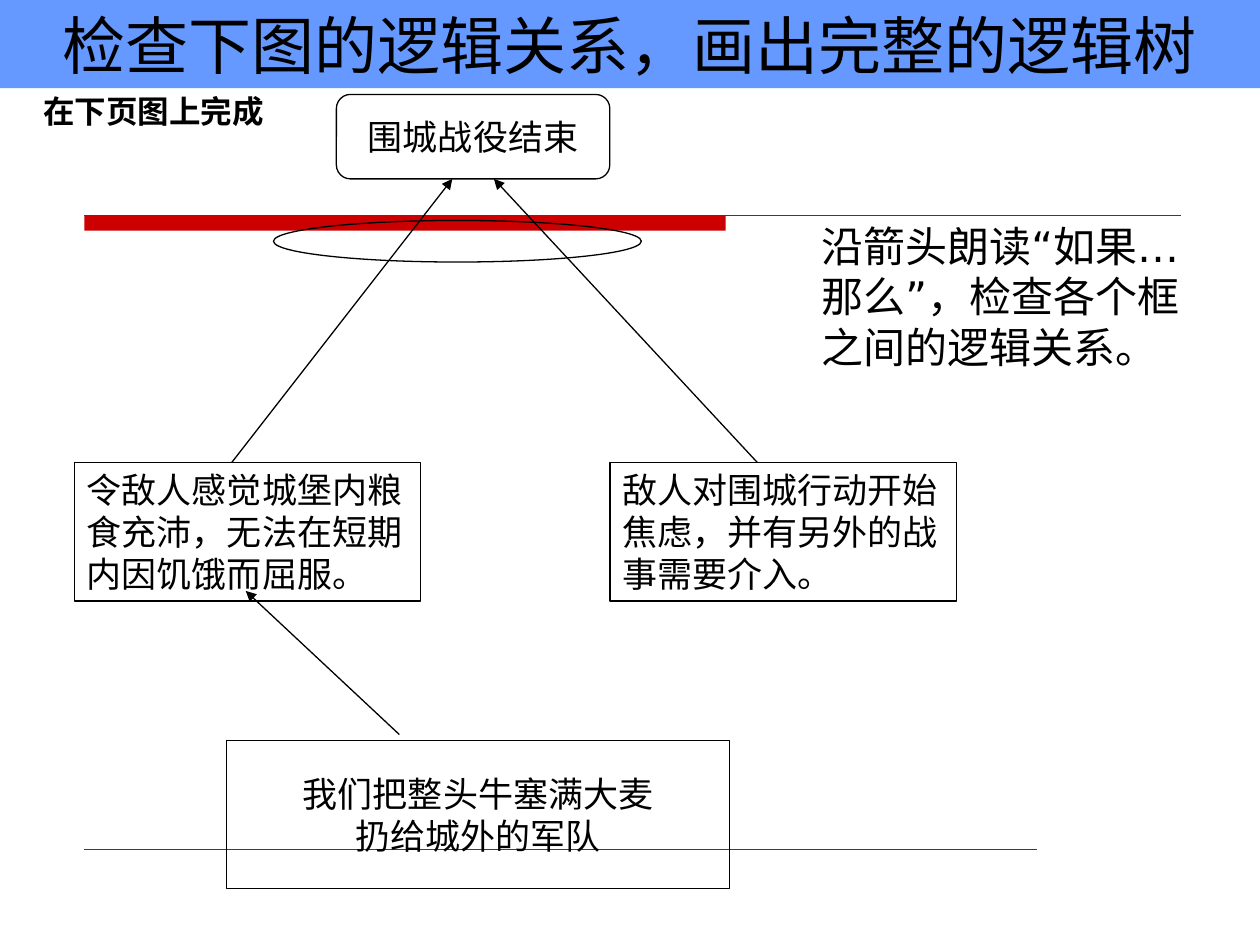
from dataclasses import dataclass
from typing import Optional

from lxml import etree
from pptx import Presentation
from pptx import util as u
from pptx.dml.color import RGBColor
from pptx.enum import shapes, text
from pptx.oxml import ns

BLACK = RGBColor(0x00, 0x00, 0x00)
RED = RGBColor(0xCC, 0x00, 0x00)
BLUE = RGBColor(0x66, 0x99, 0xFF)
FONT = "DejaVu Sans"

RECTANGLE = shapes.MSO_SHAPE.RECTANGLE
ROUNDED = shapes.MSO_SHAPE.ROUNDED_RECTANGLE
OVAL = shapes.MSO_SHAPE.OVAL
LEFT, CENTER = text.PP_ALIGN.LEFT, text.PP_ALIGN.CENTER
TOP, MIDDLE = text.MSO_ANCHOR.TOP, text.MSO_ANCHOR.MIDDLE


@dataclass(frozen=True)
class Box:
    left: float
    top: float
    width: float
    height: float
    lines: tuple[str, ...] = ()
    size: int = 20
    bold: bool = False
    align: text.PP_ALIGN = CENTER
    anchor: text.MSO_ANCHOR = TOP
    kind: Optional[shapes.MSO_SHAPE] = RECTANGLE
    fill: Optional[RGBColor] = None
    outline: Optional[RGBColor] = BLACK


@dataclass(frozen=True)
class Line:
    start: tuple[float, float]
    end: tuple[float, float]
    color: RGBColor = BLACK
    width: float = 0.75
    arrow: bool = False


RULES = (
    Line((0.67, 1.71), (9.37, 1.71), RED),
    Line((0.67, 6.74), (8.23, 6.74), RED, 0.25),
)
RED_BAR = Box(0.67, 1.71, 5.09, 0.12, fill=RED, outline=None)

BOXES = (
    Box(1.8, 5.88, 3.99, 1.17, ("我们把整头牛塞满大麦", "扔给城外的军队"), anchor=MIDDLE),
    Box(2.67, 0.75, 2.17, 0.67, ("围城战役结束",), anchor=MIDDLE, kind=ROUNDED),
    Box(0, 0, 10, 0.7, ("检查下图的逻辑关系，画出完整的逻辑树",), size=36,
        fill=BLUE, outline=None),
    Box(4.84, 3.67, 2.75, 1.1, ("敌人对围城行动开始焦虑，并有另外的战事需要介入。",), align=LEFT),
    Box(0.59, 3.67, 2.75, 1.1, ("令敌人感觉城堡内粮食充沛，无法在短期内因饥饿而屈服。",), align=LEFT),
)
ARROWS = (
    Line((3.17, 5.83), (1.95, 4.69), arrow=True),
    Line((1.84, 3.67), (3.59, 1.42), arrow=True),
    Line((6.01, 3.67), (3.92, 1.42), arrow=True),
)
AND_ELLIPSE = Box(2.17, 1.75, 2.92, 0.33, kind=OVAL)
NOTES = (
    Box(6.42, 1.7, 3.15, 1.3, ("沿箭头朗读“如果…那么”，检查各个框之间的逻辑关系。",),
        size=24, align=LEFT, kind=None),
    Box(0, 0.68, 2.44, 0.4, ("在下页图上完成",), size=18, bold=True, kind=None),
)


def write_text(shape, box: Box) -> None:
    frame = shape.text_frame
    frame_format = {"word_wrap": True, "vertical_anchor": box.anchor}
    for name, value in frame_format.items():
        setattr(frame, name, value)
    font_format = {"name": FONT, "size": u.Pt(box.size), "bold": box.bold}
    for index, line in enumerate(box.lines):
        paragraph = frame.add_paragraph() if index else frame.paragraphs[0]
        paragraph.alignment = box.align
        run = paragraph.add_run()
        run.text = line
        for name, value in font_format.items():
            setattr(run.font, name, value)
        run.font.color.rgb = BLACK
        etree.SubElement(run.font._element, ns.qn("a:ea"), typeface=FONT)


def draw_box(slide, box: Box) -> None:
    frame = [u.Inches(value) for value in (box.left, box.top, box.width, box.height)]
    if box.kind is None:
        shape = slide.shapes.add_textbox(*frame)
    else:
        shape = slide.shapes.add_shape(box.kind, *frame)
        shape.shadow.inherit = False
        if box.fill is None:
            shape.fill.background()
        else:
            shape.fill.solid()
            shape.fill.fore_color.rgb = box.fill
        if box.outline is None:
            shape.line.fill.background()
        else:
            shape.line.color.rgb = box.outline
            shape.line.width = u.Pt(0.75)
    if box.lines:
        write_text(shape, box)


def draw_line(slide, line: Line) -> None:
    points = [u.Inches(value) for value in (*line.start, *line.end)]
    connector = slide.shapes.add_connector(shapes.MSO_CONNECTOR.STRAIGHT, *points)
    connector.line.color.rgb = line.color
    connector.line.width = u.Pt(line.width)
    if line.arrow:
        outline = connector.line._get_or_add_ln()
        etree.SubElement(outline, ns.qn("a:tailEnd"), type="triangle")
    etree.SubElement(connector._element.spPr, ns.qn("a:effectLst"))


def main() -> None:
    presentation = Presentation()
    presentation.slide_width = u.Inches(10)
    presentation.slide_height = u.Inches(7.5)
    slide = presentation.slides.add_slide(presentation.slide_layouts[6])

    draw_box(slide, RED_BAR)
    for rule in RULES:
        draw_line(slide, rule)
    for box in BOXES:
        draw_box(slide, box)
    for arrow in ARROWS:
        draw_line(slide, arrow)
    for box in (AND_ELLIPSE, *NOTES):
        draw_box(slide, box)

    presentation.save("out.pptx")


if __name__ == "__main__":
    main()
